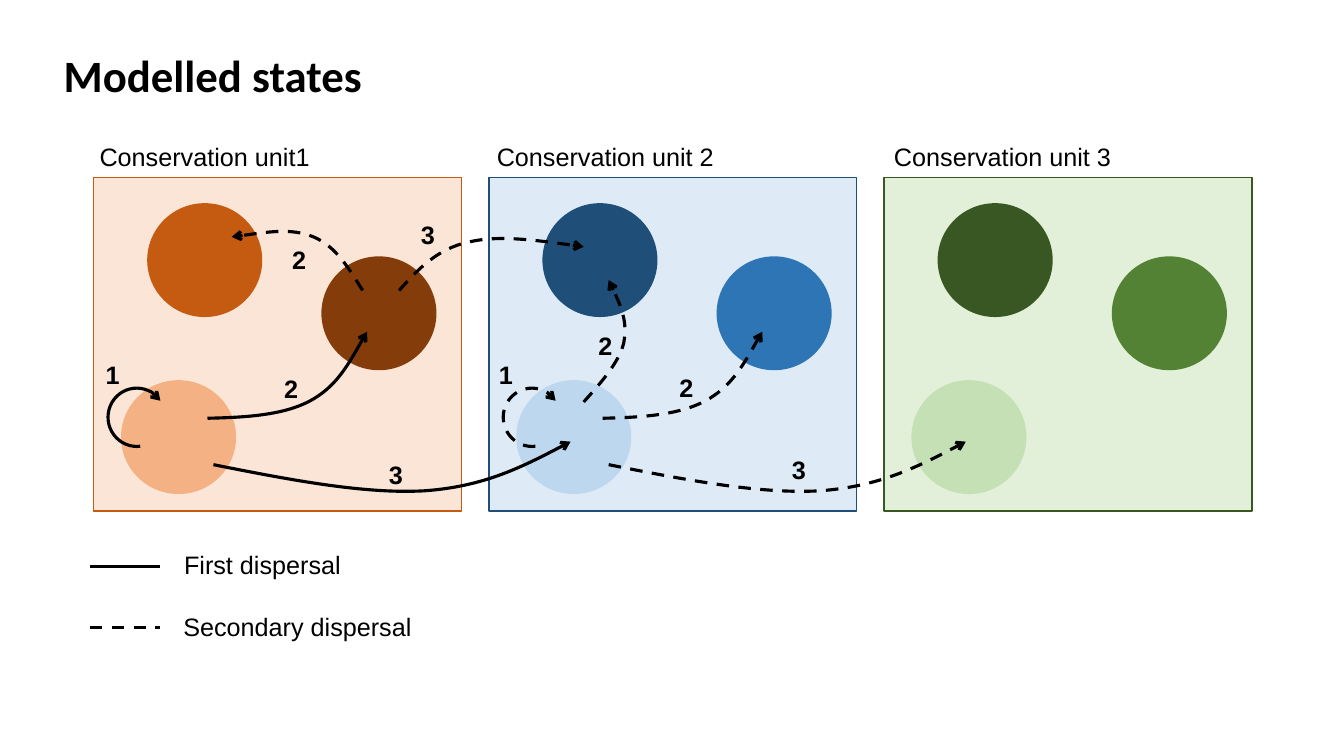
from lxml import etree
from pptx import Presentation
from pptx.dml.color import RGBColor
from pptx.enum.dml import MSO_LINE
from pptx.enum.shapes import MSO_CONNECTOR, MSO_SHAPE
from pptx.enum.text import MSO_ANCHOR, MSO_AUTO_SIZE, PP_ALIGN
from pptx.oxml.ns import qn
from pptx.util import Cm, Pt

RECTANGLE, OVAL, ARC = MSO_SHAPE.RECTANGLE, MSO_SHAPE.OVAL, MSO_SHAPE.ARC
STRAIGHT = MSO_CONNECTOR.STRAIGHT
DASH = MSO_LINE.DASH
MIDDLE = MSO_ANCHOR.MIDDLE
LEFT = PP_ALIGN.LEFT
NO_AUTOFIT = MSO_AUTO_SIZE.NONE

COLOURS = {
    "ink": "000000",
    "orange_pale": "FBE5D6", "orange_light": "F4B183",
    "orange": "C55A11", "orange_dark": "843C0B",
    "blue_pale": "DEEBF7", "blue_light": "BDD7EE",
    "blue": "2E75B6", "blue_dark": "1F4E79",
    "green_pale": "E2F0D9", "green_light": "C5E0B4",
    "green": "548235", "green_dark": "385723",
}

UNIT_STEP = 9.96
HEADING_STEP = 10.01
PATCH_OFFSETS = [(0.69, 9.58), (5.74, 6.46), (1.35, 5.12)]

# heading, background, border, patches (lower, right, upper)
UNITS = [
    ("Conservation unit1", "orange_pale", "orange",
     ["orange_light", "orange_dark", "orange"]),
    ("Conservation unit 2", "blue_pale", "blue_dark",
     ["blue_light", "blue", "blue_dark"]),
    ("Conservation unit 3", "green_pale", "green_dark",
     ["green_light", "green", "green_dark"]),
]

WITHIN_UNIT = [(5.23, 10.54), (6.2, 10.52), (7.14, 10.46), (7.8, 10.11),
               (8.48, 9.75), (8.86, 9.04), (9.25, 8.36)]
TO_NEXT_UNIT = [(5.38, 11.71), (7.29, 12.09), (9.17, 12.45), (10.67, 12.37),
                (12.17, 12.27), (13.28, 11.71), (14.38, 11.13)]
SECONDARY_ROUTES = [
    [(14.71, 10.13), (15.14, 9.65), (15.6, 9.14), (15.72, 8.64),
     (15.82, 8.1), (15.6, 7.59), (15.34, 7.06)],
    [(9.14, 7.32), (8.79, 6.76), (8.46, 6.2), (7.9, 5.97),
     (7.34, 5.74), (6.6, 5.87), (5.84, 5.97)],
    [(10.06, 7.32), (10.54, 6.78), (11.02, 6.27), (11.81, 6.1),
     (12.57, 5.92), (13.64, 6.07), (14.71, 6.22)],
]

STATE_NUMBERS = [
    ("1", 2.41, 8.94), ("1", 12.32, 8.94),
    ("2", 6.91, 9.27), ("2", 16.87, 9.25),
    ("2", 14.83, 8.2), ("2", 7.11, 6.02),
    ("3", 9.55, 11.46), ("3", 19.71, 11.33), ("3", 10.36, 5.41),
]

LEGEND = [("First dispersal", 4.39, 14.27, False),
          ("Secondary dispersal", 4.37, 15.82, True)]


def colour(name):
    return RGBColor.from_string(COLOURS[name])


def set_font(paragraph, font_name, size, bold=False):
    paragraph.font.name = font_name
    paragraph.font.size = Pt(size)
    paragraph.font.bold = bold
    paragraph.font.color.rgb = colour("ink")


def add_title(slide, text):
    title = slide.shapes.title
    title.left, title.top = Cm(1.35), Cm(1.07)
    title.width, title.height = Cm(18.03), Cm(1.63)
    frame = title.text_frame
    frame.text = text
    frame.auto_size = NO_AUTOFIT
    frame.vertical_anchor = MIDDLE
    frame.paragraphs[0].alignment = LEFT
    set_font(frame.paragraphs[0], "Calibri", 32, True)


def add_label(slide, text, x, y, width=8.03, bold=False):
    label = slide.shapes.add_textbox(Cm(x), Cm(y), Cm(width), Cm(1.03))
    label.text_frame.word_wrap = True
    label.text_frame.text = text
    set_font(label.text_frame.paragraphs[0], "Arial", 18, bold)


def add_area(slide, kind, x, y, width, height, fill, border=None):
    area = slide.shapes.add_shape(kind, Cm(x), Cm(y), Cm(width), Cm(height))
    area.shadow.inherit = False
    area.fill.solid()
    area.fill.fore_color.rgb = colour(fill)
    if border:
        area.line.color.rgb = colour(border)
        area.line.width = Pt(1)
    else:
        area.line.fill.background()


def add_unit(slide, index, heading, fill, border, patches):
    left = 2.36 + index * UNIT_STEP
    add_area(slide, RECTANGLE, left, 4.47, 9.27, 8.41, fill, border)
    for (dx, y), patch in zip(PATCH_OFFSETS, patches):
        add_area(slide, OVAL, left + dx, y, 2.9, 2.87, patch)
    add_label(slide, heading, 2.26 + index * HEADING_STEP, 3.43)


def style_stroke(stroke, dashed):
    stroke.line.color.rgb = colour("ink")
    stroke.line.width = Pt(2.25)
    if dashed:
        stroke.line.dash_style = DASH


def style_arrow(arrow, dashed):
    arrow.shadow.inherit = False
    arrow.fill.background()
    style_stroke(arrow, dashed)
    outline = arrow.element.spPr.find(qn("a:ln"))
    etree.SubElement(outline, qn("a:tailEnd"), type="arrow")


def add_route(slide, points, dashed, shift=0):
    start, *rest = [(Cm(x + shift), Cm(y)) for x, y in points]
    builder = slide.shapes.build_freeform(*start)
    builder.add_line_segments(rest, close=False)
    route = builder.convert_to_shape()
    outline = route.element.xpath(".//a:path")[0]
    segments = outline.findall(qn("a:lnTo"))
    for first in range(0, len(segments), 3):
        curve = etree.SubElement(outline, qn("a:cubicBezTo"))
        for segment in segments[first:first + 3]:
            curve.append(segment[0])
            outline.remove(segment)
    style_arrow(route, dashed)


def add_loop(slide, dashed, shift):
    loop = slide.shapes.add_shape(
        ARC, Cm(2.72 + shift), Cm(9.78), Cm(1.45), Cm(1.47))
    loop.adjustments[0] = 162
    loop.adjustments[1] = 91.01
    loop.rotation = 173.3
    style_arrow(loop, dashed)


def add_legend_entry(slide, text, text_x, y, dashed):
    sample = slide.shapes.add_connector(
        STRAIGHT, Cm(2.26), Cm(y), Cm(4.04), Cm(y))
    style_stroke(sample, dashed)
    etree.SubElement(sample.element.spPr, qn("a:effectLst"))
    add_label(slide, text, text_x, y - 0.55)


def main():
    deck = Presentation()
    deck.slide_width, deck.slide_height = Cm(33.87), Cm(19.05)
    slide = deck.slides.add_slide(deck.slide_layouts[5])
    add_title(slide, "Modelled states")
    for index, unit in enumerate(UNITS):
        add_unit(slide, index, *unit)
    for index, dashed in enumerate([False, True]):
        shift = index * UNIT_STEP
        add_loop(slide, dashed, shift)
        add_route(slide, WITHIN_UNIT, dashed, shift)
        add_route(slide, TO_NEXT_UNIT, dashed, shift)
    for points in SECONDARY_ROUTES:
        add_route(slide, points, True)
    for number, x, y in STATE_NUMBERS:
        add_label(slide, number, x, y, 1.02, True)
    for entry in LEGEND:
        add_legend_entry(slide, *entry)
    deck.save("out.pptx")


if __name__ == "__main__":
    main()
